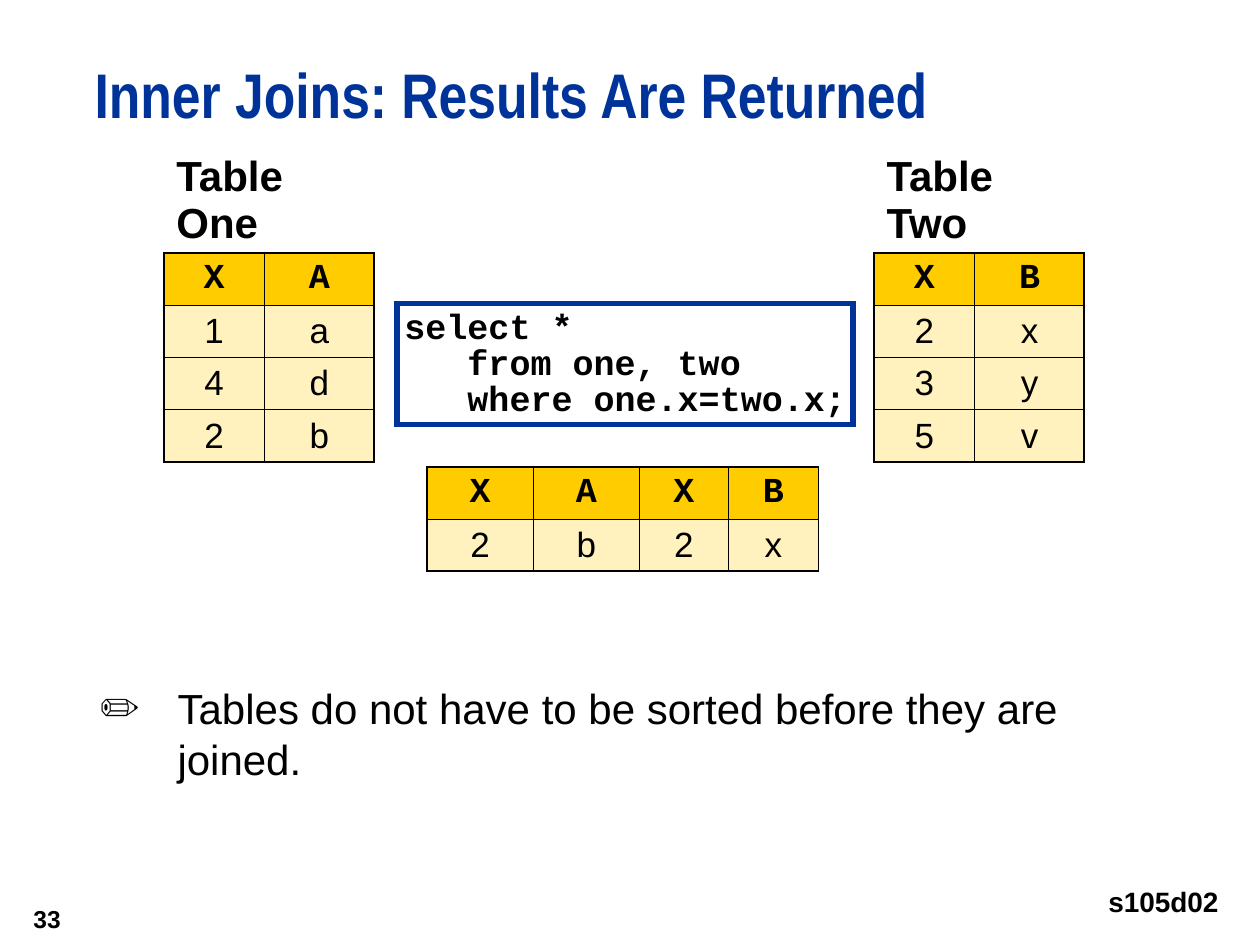
from dataclasses import dataclass

from lxml.etree import SubElement
from pptx import Presentation
from pptx.dml.color import RGBColor
from pptx.enum.shapes import MSO_SHAPE as Preset
from pptx.enum.text import MSO_ANCHOR as Anchor, PP_ALIGN as Align
from pptx.oxml.ns import qn
from pptx.util import Pt

COLORS = {
    "ink": "000000",
    "blue": "003399",
    "header": "FFCC00",
    "body": "FFF2BE",
    "paper": "FFFFFF",
}
OUTER, INNER = 1.08, 0.45
CAPTION_PAD, VALUE_PAD = 1.3, 2.9


@dataclass(frozen=True)
class Style:
    size: float
    font: str = "Arial"
    bold: bool = True
    color: str = "ink"


@dataclass(frozen=True)
class DataTable:
    caption: str
    left: float
    top: float
    widths: tuple[float, ...]
    caption_height: float
    rows: tuple[str, ...]
    row_height: float = 29.7


TITLE = Style(36, "Arial Narrow", color="blue")
CAPTION = Style(24)
CODE = Style(20, "Courier New")
VALUE = Style(20, bold=False)
NOTE = Style(24, bold=False)

# Each row is a string of one-letter cells; the first row holds the column names.
TABLES = (
    DataTable("", 244, 233.3, (60.7, 60.7, 50.8, 51.6), 33.5, ("XAXB", "2b2x")),
    DataTable("Table One", 93.6, 84.2, (57.6, 62.6), 60.5, ("XA", "1a", "4d", "2b")),
    DataTable("Table Two", 499.4, 84.2, (57.6, 62.6), 60.5, ("XB", "2x", "3y", "5v")),
)
QUERY = ("select *", "   from one, two", "   where one.x=two.x;")


def rgb(name: str) -> RGBColor:
    return RGBColor.from_string(COLORS[name])


def add_text(paragraph, text: str, style: Style) -> None:
    run = paragraph.add_run()
    run.text = text
    run.font.size = Pt(style.size)
    run.font.name = style.font
    run.font.bold = style.bold
    run.font.color.rgb = rgb(style.color)


def set_frame(frame, inset: tuple[float, float], wrap: bool = True, anchor=Anchor.TOP) -> None:
    """Apply horizontal and vertical insets, wrapping and anchoring."""
    frame.margin_left = frame.margin_right = Pt(inset[0])
    frame.margin_top = frame.margin_bottom = Pt(inset[1])
    frame.word_wrap = wrap
    frame.vertical_anchor = anchor


def add_box(slide, left, top, width, height, text, style, inset=(0, 0),
            wrap=True, anchor=Anchor.TOP, align=Align.LEFT):
    box = slide.shapes.add_textbox(Pt(left), Pt(top), Pt(width), Pt(height))
    set_frame(box.text_frame, inset, wrap, anchor)
    paragraph = box.text_frame.paragraphs[0]
    paragraph.alignment = align
    add_text(paragraph, text, style)
    return paragraph


def set_borders(cell, left: float, right: float, top: float, bottom: float) -> None:
    """Draw the four edges; a width of zero hides an edge."""
    properties = cell._tc.get_or_add_tcPr()
    edges = (("lnL", left), ("lnR", right), ("lnT", top), ("lnB", bottom))
    for position, (tag, width) in enumerate(edges):
        line = SubElement(properties, qn(f"a:{tag}"), w=str(int(Pt(width))))
        properties.insert(position, line)
        if width:
            fill = SubElement(line, qn("a:solidFill"))
            SubElement(fill, qn("a:srgbClr"), val=COLORS["ink"])
        else:
            SubElement(line, qn("a:noFill"))


def center_vertically(cell, pad: float) -> None:
    cell.vertical_anchor = Anchor.MIDDLE
    cell.margin_top = cell.margin_bottom = Pt(pad)


def add_caption(table, caption: str) -> None:
    last = len(table.columns) - 1
    first_cell = table.cell(0, 0)
    first_cell.merge(table.cell(0, last))
    center_vertically(first_cell, CAPTION_PAD)
    if caption:
        add_text(first_cell.text_frame.paragraphs[0], caption, CAPTION)
    for column in range(last + 1):
        cell = table.cell(0, column)
        cell.fill.background()
        set_borders(cell, 0, 0, 0, OUTER)


def add_data_table(slide, data: DataTable) -> None:
    count = len(data.rows)
    height = data.caption_height + count * data.row_height
    table = slide.shapes.add_table(
        count + 1, len(data.widths), Pt(data.left), Pt(data.top),
        Pt(sum(data.widths)), Pt(height)).table
    table.first_row = table.horz_banding = False
    for column, width in zip(table.columns, data.widths):
        column.width = Pt(width)
    for index, row in enumerate(table.rows):
        row.height = Pt(data.row_height if index else data.caption_height)
    add_caption(table, data.caption)

    last = len(data.widths) - 1
    for r, values in enumerate(data.rows, start=1):
        is_header = r == 1
        for c, value in enumerate(values):
            cell = table.cell(r, c)
            center_vertically(cell, VALUE_PAD)
            cell.fill.solid()
            cell.fill.fore_color.rgb = rgb("header" if is_header else "body")
            paragraph = cell.text_frame.paragraphs[0]
            paragraph.alignment = Align.CENTER
            add_text(paragraph, value, CODE if is_header else VALUE)
            set_borders(cell,
                        left=INNER if c else OUTER,
                        right=OUTER if c == last else INNER,
                        top=OUTER if is_header else INNER,
                        bottom=OUTER if r == count else INNER)


def add_query(slide) -> None:
    query = slide.shapes.add_shape(Preset.RECTANGLE, Pt(226.8), Pt(173.5), Pt(260.6), Pt(69.1))
    query.shadow.inherit = False
    query.fill.solid()
    query.fill.fore_color.rgb = rgb("paper")
    query.line.color.rgb = rgb("blue")
    query.line.width = Pt(3)
    SubElement(query.line._get_or_add_ln(), qn("a:miter"), lim="800000")
    frame = query.text_frame
    set_frame(frame, (4.3, 4.3))
    frame.margin_right = Pt(0)
    for index, code_line in enumerate(QUERY):
        paragraph = frame.add_paragraph() if index else frame.paragraphs[0]
        paragraph.alignment = Align.LEFT
        paragraph.line_spacing = 0.85
        add_text(paragraph, code_line, CODE)


def add_pencil_bullet(paragraph) -> None:
    properties = paragraph._p.get_or_add_pPr()
    properties.set("marL", str(int(Pt(44.6))))
    properties.set("indent", str(int(Pt(-44.6))))
    SubElement(properties, qn("a:buFont"), typeface="Arial")
    SubElement(properties, qn("a:buChar"), char="✏")


def main() -> None:
    deck = Presentation()
    deck.slide_width, deck.slide_height = Pt(720), Pt(540)
    slide = deck.slides.add_slide(deck.slide_layouts[6])

    title = add_box(slide, 54, 36, 666, 54, "Inner Joins: Results Are Returned", TITLE)
    title.line_spacing = Pt(39)
    for data in TABLES:
        add_data_table(slide, data)
    add_query(slide)
    note = add_box(slide, 56.9, 390.2, 615.6, 95.8,
                   "Tables do not have to be sorted before they are joined.", NOTE)
    add_pencil_bullet(note)
    add_box(slide, 0, 509.8, 41.8, 30.2, "33", Style(14), inset=(7.2, 3.6),
            wrap=False, anchor=Anchor.MIDDLE, align=Align.RIGHT)
    add_box(slide, 622.4, 498.2, 81, 33.1, "s105d02", Style(16), inset=(7.2, 7.2),
            align=Align.RIGHT)
    deck.save("out.pptx")


if __name__ == "__main__":
    main()
